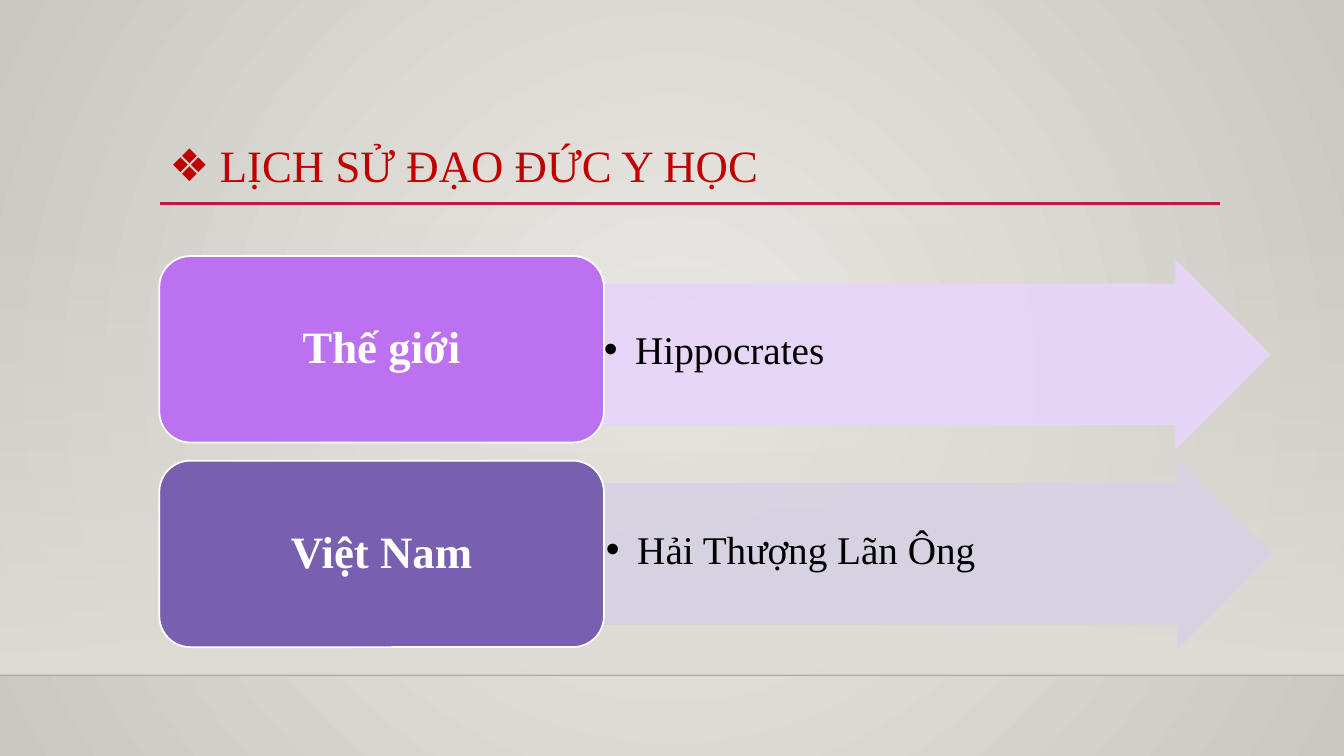
from lxml import etree
from pptx import Presentation
from pptx import util as u
from pptx.dml.color import RGBColor
from pptx.enum import shapes, text
from pptx.oxml.ns import qn

WIDTH, HEIGHT = 13.33, 7.5
LEFT = 1.58
CARD_WIDTH, ROW_HEIGHT = 4.41, 1.85
CARD_TOP, CARD_PITCH = 2.54, 2.03
ARROW_TOP, ARROW_PITCH, ARROW_WIDTH = 2.59, 1.98, 6.62
FLOOR_TOP, FLOOR_EDGE = 2.21, 6.7
FONT = "Times New Roman"

BLACK = RGBColor(0x00, 0x00, 0x00)
WHITE = RGBColor(0xFF, 0xFF, 0xFF)
RED = RGBColor(0xC0, 0x00, 0x00)
CRIMSON = RGBColor(0xB7, 0x1E, 0x42)
LIGHT_GREY = RGBColor(0xEC, 0xEA, 0xE7)
DARK_GREY = RGBColor(0xCA, 0xC7, 0xC1)
FLOOR_GREY = RGBColor(0xDF, 0xDB, 0xD5)
PURPLE = RGBColor(0xBC, 0x72, 0xF0)
PALE_PURPLE = RGBColor(0xE7, 0xD5, 0xF9)
VIOLET = RGBColor(0x79, 0x5F, 0xAF)
PALE_VIOLET = RGBColor(0xD7, 0xD2, 0xE3)

ROWS = [
    ("Thế giới", PURPLE, "Hippocrates", PALE_PURPLE),
    ("Việt Nam", VIOLET, "Hải Thượng Lãn Ông", PALE_VIOLET),
]


def inches(*lengths):
    return [u.Inches(length) for length in lengths]


def set_opacity(parent, percent):
    """Give every RGB colour below parent the same opacity."""
    for color in parent.iter(qn("a:srgbClr")):
        etree.SubElement(color, qn("a:alpha"), val=str(percent * 1000))


def set_gradient(fill, start, end):
    fill.gradient()
    for stop, color in zip(fill.gradient_stops, (start, end)):
        stop.color.rgb = color


def add_backdrop(slide):
    set_gradient(slide.background.fill, LIGHT_GREY, DARK_GREY)
    linear = next(slide.background._cSld.iter(qn("a:lin")))
    circle = etree.Element(qn("a:path"), path="circle")
    etree.SubElement(circle, qn("a:fillToRect"),
                     dict.fromkeys("ltrb", "50000"))
    linear.getparent().replace(linear, circle)

    floor = slide.shapes.add_shape(
        shapes.MSO_SHAPE.RECTANGLE,
        *inches(0, FLOOR_TOP, WIDTH, FLOOR_EDGE - FLOOR_TOP))
    floor.shadow.inherit = False
    floor.line.fill.background()
    set_gradient(floor.fill, FLOOR_GREY, FLOOR_GREY)
    floor.fill.gradient_angle = 270
    top_color = next(floor._element.spPr.iter(qn("a:srgbClr")))
    set_opacity(top_color.getparent(), 0)


def add_rule(slide, start, end, y, color, width, opacity=100):
    rule = slide.shapes.add_connector(
        shapes.MSO_CONNECTOR.STRAIGHT, *inches(start, y, end, y))
    rule.line.color.rgb = color
    rule.line.width = u.Pt(width)
    set_opacity(rule._element.spPr, opacity)
    etree.SubElement(rule._element.spPr, qn("a:effectLst"))


def write(frame, words, size, color, align, bold=False):
    frame.word_wrap = True
    paragraph = frame.paragraphs[0]
    paragraph.alignment = align
    paragraph.line_spacing = 0.9
    run = paragraph.add_run()
    run.text = words
    run.font.name = FONT
    run.font.size = u.Pt(size)
    run.font.bold = bold
    run.font.color.rgb = color
    return paragraph


def add_bullet(paragraph, mark, indent):
    properties = paragraph._p.get_or_add_pPr()
    properties.set("marL", str(u.Inches(indent)))
    properties.set("indent", str(-u.Inches(indent)))
    etree.SubElement(properties, qn("a:buFont"), typeface="Arial")
    etree.SubElement(properties, qn("a:buChar"), char=mark)


def add_title(slide, words):
    title = slide.shapes.title
    title.left, title.top, title.width, title.height = inches(
        LEFT, 1.38, 10.5, 1.16)
    frame = title.text_frame
    frame.vertical_anchor = text.MSO_ANCHOR.TOP
    frame.auto_size = text.MSO_AUTO_SIZE.NONE
    heading = write(frame, words, 32, RED, text.PP_ALIGN.LEFT)
    add_bullet(heading, "❖", 0.5)


def add_block(slide, kind, box, color, border):
    block = slide.shapes.add_shape(kind, *inches(*box))
    block.shadow.inherit = False
    block.fill.solid()
    block.fill.fore_color.rgb = color
    block.line.color.rgb = border
    block.line.width = u.Pt(1.25)
    block.text_frame.vertical_anchor = text.MSO_ANCHOR.MIDDLE
    return block


def add_arrow(slide, row, words, color):
    box = (LEFT + CARD_WIDTH - 0.02 * (1 - row),
           ARROW_TOP + row * ARROW_PITCH, ARROW_WIDTH, ROW_HEIGHT)
    arrow = add_block(slide, shapes.MSO_SHAPE.RIGHT_ARROW, box, color, color)
    arrow.adjustments[0] = 0.75
    set_opacity(arrow._element.spPr, 90)
    frame = arrow.text_frame
    frame.margin_left = frame.margin_right = u.Inches(0.02)
    frame.margin_top, frame.margin_bottom = inches(0, 0.05)
    entry = write(frame, words, 28, BLACK, text.PP_ALIGN.LEFT)
    add_bullet(entry, "•", 0.31)


def add_card(slide, row, words, color):
    box = (LEFT, CARD_TOP + row * CARD_PITCH, CARD_WIDTH, ROW_HEIGHT)
    card = add_block(slide, shapes.MSO_SHAPE.ROUNDED_RECTANGLE, box,
                     color, WHITE)
    write(card.text_frame, words, 32, WHITE, text.PP_ALIGN.CENTER, bold=True)


def main():
    deck = Presentation()
    deck.slide_width, deck.slide_height = inches(WIDTH, HEIGHT)
    slide = deck.slides.add_slide(deck.slide_layouts.get_by_name("Title Only"))
    add_backdrop(slide)
    add_rule(slide, 0, WIDTH, FLOOR_EDGE, BLACK, 1, opacity=20)
    add_rule(slide, 1.59, 12.1, 2.02, CRIMSON, 2.5)
    add_title(slide, "LỊCH SỬ ĐẠO ĐỨC Y HỌC")
    for row, (place, card_color, person, arrow_color) in enumerate(ROWS):
        add_arrow(slide, row, person, arrow_color)
        add_card(slide, row, place, card_color)
    deck.save("out.pptx")


if __name__ == "__main__":
    main()
